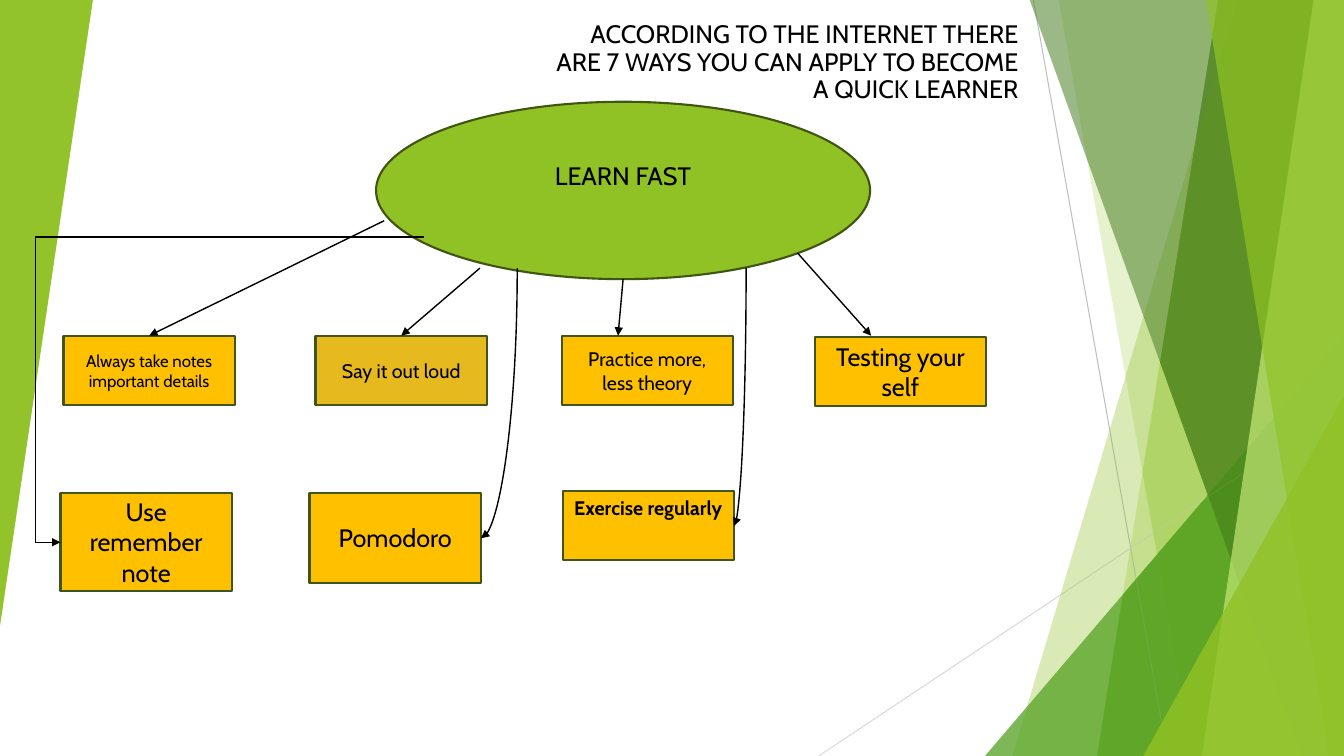
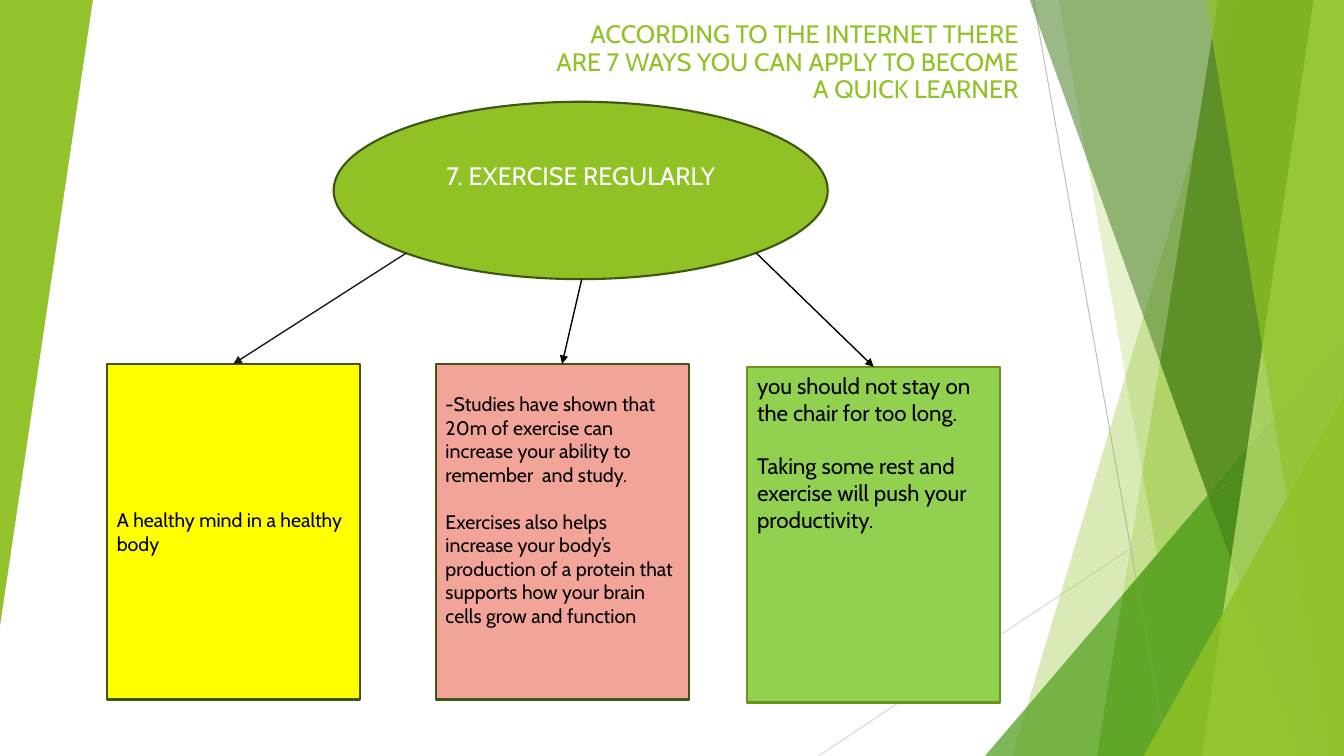
import pptx
import pptx.util
import pptx.dml.color
import pptx.enum.shapes
import pptx.enum.text
import pptx.oxml.ns
import lxml.etree

Inches, Pt = pptx.util.Inches, pptx.util.Pt
Shape = pptx.enum.shapes.MSO_SHAPE
Wire = pptx.enum.shapes.MSO_CONNECTOR
Align = pptx.enum.text.PP_ALIGN
Anchor = pptx.enum.text.MSO_ANCHOR
qn = pptx.oxml.ns.qn

FONT = "Cabin"
GREEN, EDGE, GOLD = "90C226", "3F5511", "FFC000"
BLACK, WHITE = "000000", "FFFFFF"
HEAD = "ACCORDING TO THE INTERNET THERE ARE 7 WAYS YOU CAN APPLY TO BECOME A QUICK LEARNER"
WIDE, HIGH = 13.33, 7.5


def paint(fill, color):
    """Make a fill (of a shape, line or font) one solid colour."""
    fill.solid()
    fill.fore_color.rgb = pptx.dml.color.RGBColor.from_string(color)


def write(frame, texts, size, color, align, bold=False, gap=0):
    """Write one paragraph per text, with a gap in points between them."""
    frame.word_wrap = True
    for i, text in enumerate(texts):
        para = frame.add_paragraph() if i else frame.paragraphs[0]
        para.alignment = align
        para.space_before = Pt(gap if i else 0)
        run = para.add_run()
        run.text = text
        run.font.name, run.font.size, run.font.bold = FONT, Pt(size), bold
        paint(run.font.fill, color)


deck = pptx.Presentation()
deck.slide_width, deck.slide_height = Inches(WIDE), Inches(HIGH)
layout = deck.slide_layouts[0]

# Shared title place
spot = layout.placeholders[0]
spot.left, spot.top, spot.width, spot.height = map(Inches, (5.3, 0.17, 4.9, 2.59))
spot.text_frame.vertical_anchor = Anchor.TOP

# Shared backdrop: two layers of shards with a white veil between them.
# A band is (top x, foot x) of a freeform, or the box of a preset shape.
pages = [deck.slides.add_slide(layout) for _ in range(2)]
art = pages[0].shapes
decor = []
for dark in (70, 47):
    bands = [
        ((0, 0, 0.92, 6.2), GREEN, 85),
        ((12.28, 10.04), GREEN, 30),
        ((10.5, 11.83), GREEN, 20),
        ((9.77, 3.33, 3.56, 4.17), "54A021", 72),
        ((10.21, 12.91), "3F7819", dark),
        ((13.03, 11.92), "C0E474", 70),
        ((11.96, 13.18), GREEN, 65),
        ((11.34, 3.93, 1.99, 3.57), GREEN, 80),
    ]
    if decor:
        bands.insert(0, ((4.08, 0, 8, HIGH), WHITE, 87))
    for place, color, alpha in bands:
        if len(place) == 2:
            top, foot = place
            pen = art.build_freeform(Inches(top), Inches(-0.01))
            pen.add_line_segments([(Inches(x), Inches(y)) for x, y in
                                   ((WIDE, -0.01), (WIDE, HIGH), (foot, HIGH))])
            band = pen.convert_to_shape()
        else:
            veil = color == WHITE
            kind = Shape.PARALLELOGRAM if veil else Shape.ISOSCELES_TRIANGLE
            band = art.add_shape(kind, *map(Inches, place))
            band.adjustments[0] = 0.16 if veil else 1
            band.rotation = 180 if place[0] == 0 else 0
        band.shadow.inherit = False
        band.line.fill.background()
        paint(band.fill, color)
        tone = band.element.spPr.find(".//" + qn("a:srgbClr"))
        lxml.etree.SubElement(tone, qn("a:alpha")).set("val", str(alpha * 1000))
        decor.append(band)
        if color == WHITE:
            for ends, gray in (((10.25, 0, 11.58, HIGH), "BFBFBF"),
                               ((WIDE, 4.03, 8.12, HIGH), "D9D9D9")):
                hair = art.add_connector(Wire.STRAIGHT, *map(Inches, ends))
                hair.line.width = Pt(0.75)
                paint(hair.line.fill, gray)
                lxml.etree.SubElement(hair.element.spPr, qn("a:effectLst"))
                decor.append(hair)
for part in decor:
    layout.shapes.element.append(part.element)

# Slide content
# box: left, top, width, height, fill, edge, size, align, anchor, top inset,
#      bold, paragraph gap, texts
# arrow: kind, begin x, begin y, end x, end y, colour, index of joined box
MID, TOP = Anchor.MIDDLE, Anchor.TOP
ways = [
    (0.63, 3.33, 0.69, GOLD, 12, MID, "Always take notes important details"),
    (3.13, 3.33, 0.69, "E6B91E", 14, MID, "Say it out loud"),
    (5.57, 3.33, 0.69, GOLD, 14, MID, "Practice more, less theory"),
    (8.08, 3.34, 0.69, GOLD, 18, MID, "Testing your self"),
    (3.07, 4.89, 0.89, GOLD, 18, MID, "Pomodoro"),
    (0.6, 4.89, 0.97, GOLD, 18, MID, "Use remember note"),
    (5.58, 4.87, 0.69, GOLD, 14, TOP, "Exercise regularly"),
]
tips = [
    (1.06, 3.61, "FFFF00", EDGE, 14, MID, 0.05, ["A healthy mind in a healthy body"]),
    (4.32, 3.61, "F2A499", EDGE, 14, TOP, 0.28, [
        "-Studies have shown that 20m of exercise can increase your ability to "
        "remember  and study.",
        "Exercises also helps increase your body’s production of a protein that "
        "supports how your brain cells grow and function"]),
    (7.41, 3.64, "92D050", "6C921D", 16, TOP, 0.05, [
        "you should not stay on the chair for too long.",
        "Taking some rest and exercise will push your productivity."]),
]
plans = [
    (BLACK, 3.73, "LEARN FAST", BLACK,
     [(x, y, 1.7, h, fill, EDGE, size, Align.CENTER, hold, 0.05, hold == TOP, 0, [text])
      for x, y, h, fill, size, hold, text in ways],
     [("line", 3.81, 2.19, 1.48, 3.33, BLACK, 0),
      ("line", 4.76, 2.66, 3.98, 3.33, BLACK, 1),
      ("line", 6.18, 2.77, 6.13, 3.33, BLACK, None),
      ("line", 7.91, 2.51, 8.64, 3.33, BLACK, None),
      ("bent", 4.21, 2.35, 0.6, 5.38, BLACK, None),
      ("curve", 5.13, 2.66, 4.77, 5.34, BLACK, None),
      ("curve", 7.4, 2.66, 7.28, 5.22, BLACK, None)]),
    (GREEN, 3.31, "7. EXERCISE REGULARLY", WHITE,
     [(x, y, 2.51, 3.33, fill, edge, size, Align.LEFT, hold, inset, False, size * 1.2, texts)
      for x, y, fill, edge, size, hold, inset, texts in tips],
     [("line", 4.03, 2.51, 2.32, 3.61, "161E22", 0),
      ("line", 5.77, 2.77, 5.58, 3.61, BLACK, 1),
      ("line", 7.5, 2.51, 8.67, 3.64, BLACK, 2)]),
]

for page, (ink, left, label, tint, boxes, arrows) in zip(pages, plans):
    # Title
    sub = page.placeholders[1].element
    sub.getparent().remove(sub)
    title = page.shapes.title.text_frame
    write(title, [HEAD], 18, ink, Align.RIGHT)
    title.paragraphs[0].line_spacing = 0.9

    # Topic ellipse
    topic = page.shapes.add_shape(Shape.OVAL, *map(Inches, (left, 1.01, 4.9, 1.76)))
    topic.shadow.inherit = False
    paint(topic.fill, GREEN)
    paint(topic.line.fill, EDGE)
    topic.line.width = Pt(1.5)
    topic.text_frame.vertical_anchor = MID
    topic.text_frame.margin_bottom = Inches(0.35)
    write(topic.text_frame, [label], 18, tint, Align.CENTER)

    # Boxes
    cards = []
    for x, y, w, h, fill, edge, size, align, hold, inset, bold, gap, texts in boxes:
        card = page.shapes.add_shape(Shape.RECTANGLE, *map(Inches, (x, y, w, h)))
        card.shadow.inherit = False
        paint(card.fill, fill)
        paint(card.line.fill, edge)
        card.line.width = Pt(1.5)
        card.text_frame.vertical_anchor = hold
        card.text_frame.margin_top = Inches(inset)
        write(card.text_frame, texts, size, BLACK, align, bold, gap)
        cards.append(card)

    # Arrows
    for kind, x1, y1, x2, y2, color, goal in arrows:
        wire = {"line": Wire.STRAIGHT, "bent": Wire.ELBOW, "curve": Wire.CURVE}[kind]
        ends = (x1, y1, x2, y2)
        if kind == "curve":
            # Laid flat about its centre, then turned a quarter
            cx, cy, dx, dy = (x1 + x2) / 2, (y1 + y2) / 2, x1 - x2, y2 - y1
            ends = (cx - dy / 2, cy - dx / 2, cx + dy / 2, cy + dx / 2)
        arrow = page.shapes.add_connector(wire, *map(Inches, ends))
        if goal is not None:
            arrow.end_connect(cards[goal], 0)
        props = arrow.element.spPr
        geom = props.find(qn("a:prstGeom"))
        if kind == "curve":
            geom.set("prst", "curvedConnector2")
            props.find(qn("a:xfrm")).set("rot", "5400000")
        elif kind == "bent":
            guide = lxml.etree.SubElement(geom.find(qn("a:avLst")), qn("a:gd"))
            guide.set("name", "adj1")
            guide.set("fmla", "val 106900")
        arrow.line.width = Pt(1)
        paint(arrow.line.fill, color)
        tip = lxml.etree.SubElement(props.find(qn("a:ln")), qn("a:tailEnd"))
        tip.set("type", "triangle")
        lxml.etree.SubElement(props, qn("a:effectLst"))

deck.save("out.pptx")
